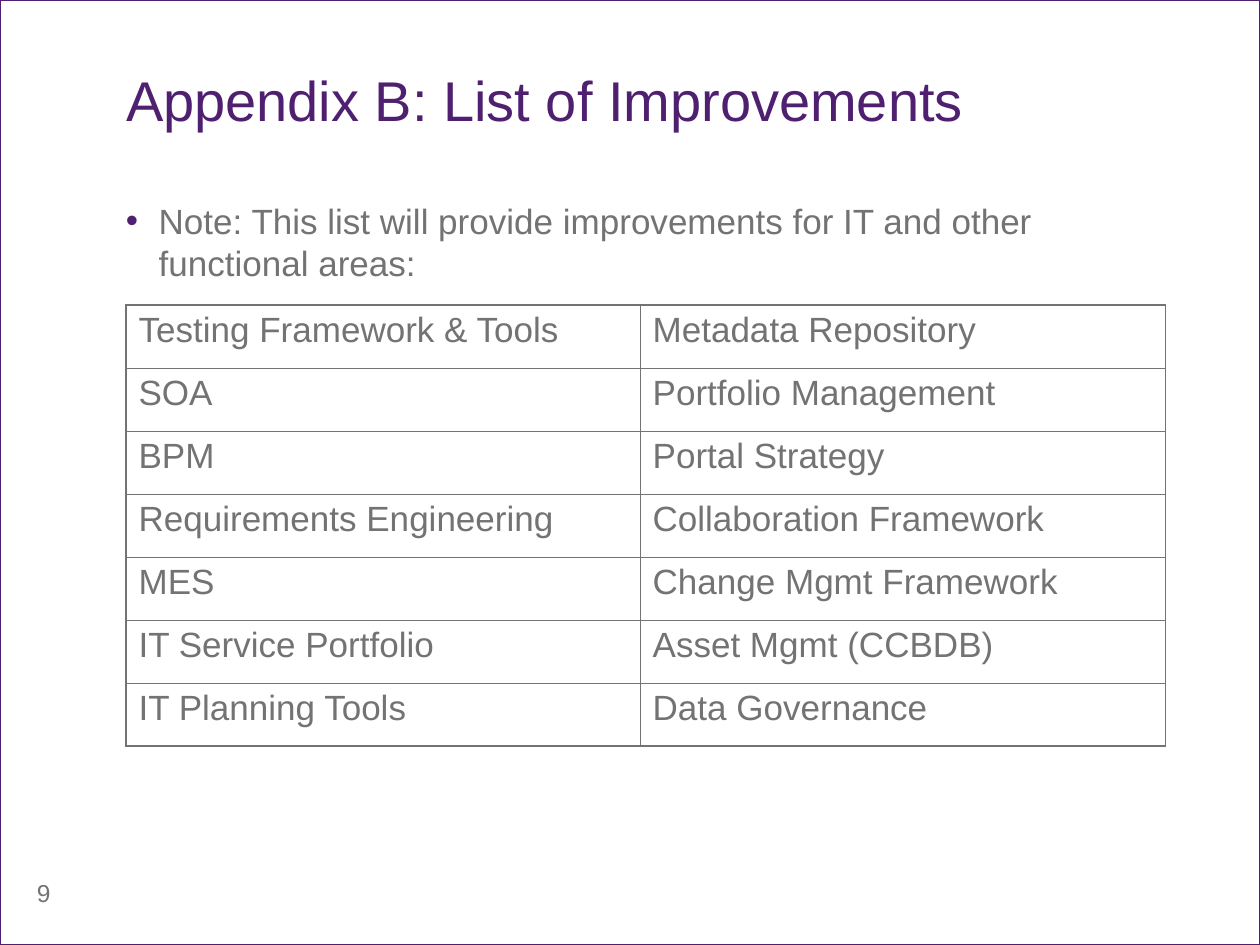
from dataclasses import dataclass

from lxml import etree
from pptx import Presentation
from pptx import util as u
from pptx.dml.color import RGBColor
from pptx.enum import shapes, text
from pptx.oxml import ns

TITLE = "Appendix B: List of Improvements"
NOTE = "Note: This list will provide improvements for IT and other functional areas:"
IMPROVEMENTS = [
    ("Testing Framework & Tools", "Metadata Repository"),
    ("SOA", "Portfolio Management"),
    ("BPM", "Portal Strategy"),
    ("Requirements Engineering", "Collaboration Framework"),
    ("MES", "Change Mgmt Framework"),
    ("IT Service Portfolio", "Asset Mgmt (CCBDB)"),
    ("IT Planning Tools", "Data Governance"),
]
PAGE_NUMBER = "9"


@dataclass(frozen=True)
class Theme:
    font: str = "Arial"
    accent: str = "4F2070"
    body: str = "737373"
    background: str = "FFFFFF"
    title_size: int = 32
    body_size: int = 20
    number_size: int = 14
    outer_border: float = 1.08
    inner_border: float = 0.45


THEME = Theme()
WIDTH, HEIGHT = 10, 7.5
MARGIN, TEXT_WIDTH = 1, 8.33
COLUMNS, ROW_HEIGHT = (4.08, 4.17), 0.5
BULLET_INDENT = 0.26


def inches(*lengths):
    return [u.Inches(length) for length in lengths]


def write(frame, words, size, color, inset=None, align=text.PP_ALIGN.LEFT):
    frame.text = words
    frame.word_wrap = True
    frame.vertical_anchor = text.MSO_ANCHOR.TOP
    if inset is not None:
        for side in ("left", "top", "right", "bottom"):
            setattr(frame, f"margin_{side}", u.Inches(inset))
    paragraph = frame.paragraphs[0]
    paragraph.alignment = align
    font = paragraph.runs[0].font
    for name, value in {"name": THEME.font, "size": u.Pt(size), "bold": False}.items():
        setattr(font, name, value)
    font.color.rgb = RGBColor.from_string(color)
    return paragraph


def add_bullet(paragraph):
    properties = paragraph._p.get_or_add_pPr()
    properties.set("marL", str(u.Inches(BULLET_INDENT)))
    properties.set("indent", str(-u.Inches(BULLET_INDENT)))
    color = etree.SubElement(properties, ns.qn("a:buClr"))
    etree.SubElement(color, ns.qn("a:srgbClr"), val=THEME.accent)
    etree.SubElement(properties, ns.qn("a:buFont"), typeface=THEME.font)
    etree.SubElement(properties, ns.qn("a:buChar"), char="•")


def add_borders(cell, outer_sides):
    """Draw all four borders, heavier on the sides at the table's edge."""
    properties = cell._tc.get_or_add_tcPr()
    for side in "LRTB":
        width = THEME.outer_border if side in outer_sides else THEME.inner_border
        line = etree.SubElement(properties, ns.qn(f"a:ln{side}"), w=str(u.Pt(width)))
        fill = etree.SubElement(line, ns.qn("a:solidFill"))
        etree.SubElement(fill, ns.qn("a:srgbClr"), val=THEME.body)


def add_frame(slide):
    frame = slide.shapes.add_shape(
        shapes.MSO_SHAPE.RECTANGLE, *inches(0, 0, WIDTH, HEIGHT))
    frame.shadow.inherit = False
    frame.fill.background()
    frame.line.color.rgb = RGBColor.from_string(THEME.accent)
    frame.line.width = u.Pt(0.75)


def add_title(slide):
    title = slide.shapes.title
    title.left, title.top, title.width, title.height = inches(
        MARGIN, 0.58, TEXT_WIDTH, 0.67)
    write(title.text_frame, TITLE, THEME.title_size, THEME.accent, 0).line_spacing = 0.9


def add_note(slide):
    note = slide.shapes.add_textbox(*inches(MARGIN, 1.58, TEXT_WIDTH, 0.75))
    add_bullet(write(note.text_frame, NOTE, THEME.body_size, THEME.body, 0))


def add_improvements(slide):
    rows, columns = len(IMPROVEMENTS), len(COLUMNS)
    table = slide.shapes.add_table(
        rows, columns,
        *inches(MARGIN, 2.42, sum(COLUMNS), rows * ROW_HEIGHT)).table
    table.first_row = table.horz_banding = False
    for column, width in zip(table.columns, COLUMNS):
        column.width = u.Inches(width)
    for r, improvements in enumerate(IMPROVEMENTS):
        for c, improvement in enumerate(improvements):
            cell = table.cell(r, c)
            write(cell.text_frame, improvement, THEME.body_size, THEME.body)
            edges = {"L": c == 0, "R": c == columns - 1,
                     "T": r == 0, "B": r == rows - 1}
            add_borders(cell, [side for side, outer in edges.items() if outer])
            cell.fill.background()


def add_page_number(slide):
    number = slide.shapes.add_textbox(*inches(0, 6.92, 0.5, 0.44))
    frame = number.text_frame
    write(frame, PAGE_NUMBER, THEME.number_size, THEME.body, align=text.PP_ALIGN.RIGHT)


def main():
    deck = Presentation()
    deck.slide_width, deck.slide_height = inches(WIDTH, HEIGHT)
    slide = deck.slides.add_slide(deck.slide_layouts[5])
    slide.background.fill.solid()
    slide.background.fill.fore_color.rgb = RGBColor.from_string(THEME.background)
    for add_part in (add_frame, add_title, add_note, add_improvements, add_page_number):
        add_part(slide)
    deck.save("out.pptx")


if __name__ == "__main__":
    main()
